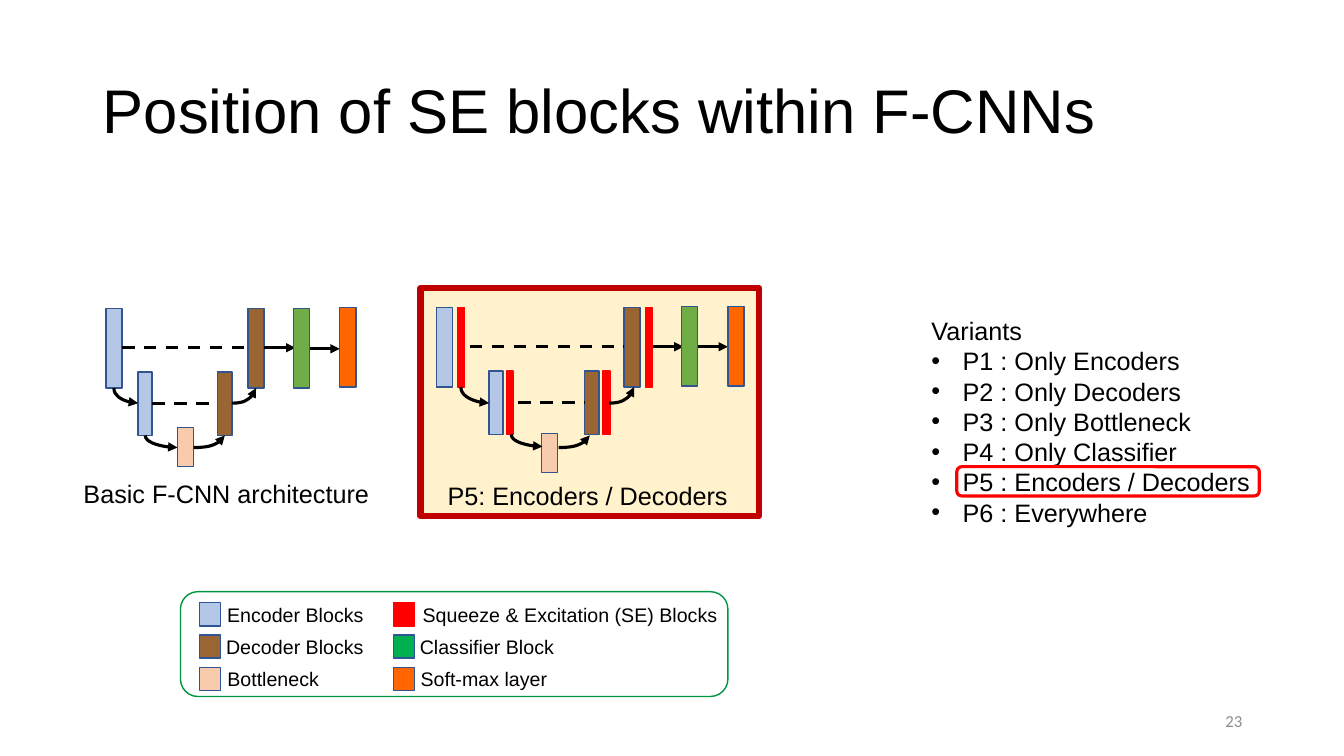
"""Build the slide on where SE blocks sit within F-CNNs."""
from lxml import etree
from pptx import Presentation, util as u
from pptx.dml.color import RGBColor
from pptx.enum import dml, shapes, text
from pptx.oxml import ns

BLACK = RGBColor(0x00, 0x00, 0x00)
GRAY = RGBColor(0x8C, 0x8C, 0x8C)
ENCODER = RGBColor(0xB4, 0xC7, 0xE7)
DECODER = RGBColor(0x99, 0x66, 0x33)
BOTTLENECK = RGBColor(0xF8, 0xCB, 0xAD)
CLASSIFIER = RGBColor(0x70, 0xAD, 0x47)
CLASSIFIER_KEY = RGBColor(0x00, 0xB0, 0x50)
SOFTMAX = RGBColor(0xFF, 0x66, 0x00)
RED = RGBColor(0xFF, 0x00, 0x00)
BLOCK_EDGE = RGBColor(0x32, 0x54, 0x91)
KEY_EDGE = RGBColor(0x2F, 0x55, 0x97)
CREAM = RGBColor(0xFF, 0xF2, 0xCC)
DARK_RED = RGBColor(0xC0, 0x00, 0x00)
GREEN = RGBColor(0x01, 0x94, 0x40)

RECT = shapes.MSO_SHAPE.RECTANGLE
ROUNDED = shapes.MSO_SHAPE.ROUNDED_RECTANGLE
LEFT, CENTER, RIGHT = text.PP_ALIGN.LEFT, text.PP_ALIGN.CENTER, text.PP_ALIGN.RIGHT


def inches(*values):
    return [u.Inches(value) for value in values]


def apply(target, values):
    for name, value in values.items():
        setattr(target, name, value)


class SlideBuilder:
    def __init__(self, slide, font="Arial"):
        self.slide, self.font = slide, font
        self.canvas = slide.shapes

    def start_group(self):
        self.canvas = self.slide.shapes.add_group_shape().shapes

    def end_group(self):
        self.canvas = self.slide.shapes

    def add_words(self, paragraph, words, size, color=BLACK, font=None, **layout):
        run = paragraph.add_run()
        run.text = words
        apply(run.font, {"name": font or self.font, "size": u.Pt(size), "bold": False})
        run.font.color.rgb = color
        apply(paragraph, layout)

    def title(self, words, box):
        heading = self.slide.shapes.title
        apply(heading, dict(zip(("left", "top", "width", "height"), inches(*box))))
        apply(heading.text_frame, {"vertical_anchor": text.MSO_ANCHOR.MIDDLE, "word_wrap": True})
        self.add_words(heading.text_frame.paragraphs[0], words, 44, alignment=LEFT, line_spacing=0.9)

    def label(self, words, box, size, wrap=False, anchor=text.MSO_ANCHOR.TOP, **style):
        frame = self.canvas.add_textbox(*inches(*box)).text_frame
        apply(frame, {"word_wrap": wrap, "vertical_anchor": anchor})
        self.add_words(frame.paragraphs[0], words, size, **style)
        return frame

    def bullet(self, frame, words, size):
        paragraph = frame.add_paragraph()
        self.add_words(paragraph, words, size)
        props = paragraph._p.get_or_add_pPr()
        for name, value in {"marL": u.Inches(0.31), "indent": -u.Inches(0.31)}.items():
            props.set(name, str(value))
        etree.SubElement(props, ns.qn("a:buFont")).set("typeface", self.font)
        etree.SubElement(props, ns.qn("a:buChar")).set("char", "•")

    def block(self, box, fill, edge, width=1, kind=RECT):
        block = self.canvas.add_shape(kind, *inches(*box))
        block.shadow.inherit = False
        if fill is None:
            block.fill.background()
        else:
            block.fill.solid()
            block.fill.fore_color.rgb = fill
        block.line.color.rgb = edge
        block.line.width = u.Pt(width)

    def link(self, start, end, kind=shapes.MSO_CONNECTOR.STRAIGHT, dashed=False):
        link = self.canvas.add_connector(kind, *inches(*start, *end))
        link.line.color.rgb = BLACK
        link.line.width = u.Pt(2.25)
        if dashed:
            link.line.dash_style = dml.MSO_LINE.DASH
        else:
            etree.SubElement(link.line._get_or_add_ln(), ns.qn("a:tailEnd")).set("type", "triangle")
        etree.SubElement(link._element.spPr, ns.qn("a:effectLst"))
        return link

    def curve(self, start, end):
        (x1, y1), (x2, y2) = start, end
        downward = y2 > y1
        if downward:
            mid_x, mid_y = (x1 + x2) / 2, (y1 + y2) / 2
            half_w, half_h = (y2 - y1) / 2, (x2 - x1) / 2
            start = mid_x + half_w, mid_y - half_h
            end = mid_x - half_w, mid_y + half_h
        props = self.link(start, end, shapes.MSO_CONNECTOR.CURVE)._element.spPr
        props.find(ns.qn("a:prstGeom")).set("prst", "curvedConnector2")
        if downward:
            props.find(ns.qn("a:xfrm")).set("rot", "16200000")

    def network(self, caption, caption_box, blocks, se_blocks, curves, skips, arrows, outputs):
        self.start_group()
        for fill, *box in blocks:
            self.block(box, fill, BLOCK_EDGE)
        for box in se_blocks:
            self.block(box, RED, RED)
        for start, end in curves:
            self.curve(start, end)
        for left, right, y in skips:
            self.link((left, y), (right, y), dashed=True)
        for left, right, y in arrows:
            self.link((left, y), (right, y))
        for fill, left, top in outputs:
            self.block((left, top, 0.16, 0.79), fill, BLOCK_EDGE)
        self.label(caption, caption_box, 18)
        self.end_group()

    def legend(self, columns):
        self.start_group()
        for key_left, entries in columns:
            for row, (words, fill, edge, left, width) in enumerate(entries):
                top = 5.93 + 0.32 * row
                self.block((key_left, top + 0.05, 0.21, 0.23), fill, edge)
                self.label(words, (left, top, width, 0.34), 14, alignment=CENTER)
        self.end_group()
        self.block((1.79, 5.87, 5.43, 1.04), None, GREEN, kind=ROUNDED)


def main():
    deck = Presentation()
    deck.slide_width, deck.slide_height = inches(13.33, 7.5)
    page = SlideBuilder(deck.slides.add_slide(deck.slide_layouts[5]))
    page.title("Position of SE blocks within F-CNNs", (0.92, 0.4, 11.5, 1.45))
    page.label("23", (9.42, 6.95, 3, 0.4), 12, wrap=True, anchor=text.MSO_ANCHOR.MIDDLE,
               color=GRAY, font="Calibri", alignment=RIGHT)
    page.block((4.17, 2.86, 3.36, 2.26), CREAM, DARK_RED, 4.5)

    page.network(
        "Basic F-CNN architecture", (0.73, 4.7, 3.06, 0.4),
        blocks=[(ENCODER, 1.05, 3.06, 0.16, 0.79), (ENCODER, 1.37, 3.69, 0.14, 0.63),
                (DECODER, 2.16, 3.69, 0.14, 0.63), (BOTTLENECK, 1.76, 4.24, 0.16, 0.39),
                (DECODER, 2.46, 3.06, 0.16, 0.79)],
        se_blocks=[],
        curves=[((1.13, 3.85), (1.37, 4)), ((1.44, 4.32), (1.76, 4.44)),
                ((1.92, 4.44), (2.23, 4.32)), ((2.3, 4), (2.54, 3.85))],
        skips=[(1.21, 2.46, 3.45), (1.51, 2.16, 4)],
        arrows=[(2.62, 2.93, 3.45), (3.07, 3.37, 3.46)],
        outputs=[(CLASSIFIER, 2.91, 3.06), (SOFTMAX, 3.37, 3.05)])
    page.network(
        "P5: Encoders / Decoders", (4.34, 4.72, 3.01, 0.4),
        blocks=[(ENCODER, 4.33, 3.05, 0.16, 0.79), (ENCODER, 4.85, 3.68, 0.14, 0.63),
                (DECODER, 5.8, 3.68, 0.14, 0.63), (BOTTLENECK, 5.37, 4.3, 0.16, 0.39),
                (DECODER, 6.19, 3.05, 0.16, 0.79)],
        se_blocks=[(4.54, 3.05, 0.07, 0.79), (5.03, 3.68, 0.06, 0.63),
                   (5.98, 3.68, 0.07, 0.63), (6.4, 3.05, 0.07, 0.79)],
        curves=[((4.57, 3.84), (4.85, 4)), ((5.07, 4.31), (5.38, 4.43)),
                ((5.54, 4.44), (5.85, 4.32)), ((6.04, 4), (6.29, 3.84))],
        skips=[(4.66, 6.19, 3.44), (5.14, 5.8, 3.99)],
        arrows=[(6.48, 6.78, 3.44), (6.92, 7.22, 3.44)],
        outputs=[(CLASSIFIER, 6.76, 3.04), (SOFTMAX, 7.22, 3.04)])

    page.legend([
        (1.98, [("Encoder Blocks", ENCODER, KEY_EDGE, 2.15, 1.56),
                ("Decoder Blocks", DECODER, KEY_EDGE, 2.14, 1.57),
                ("Bottleneck", BOTTLENECK, KEY_EDGE, 2.15, 1.12)]),
        (3.9, [("Squeeze & Excitation (SE) Blocks", RED, RED, 4.08, 3.15),
               ("Classifier Block", CLASSIFIER_KEY, KEY_EDGE, 4.06, 1.54),
               ("Soft-max layer", SOFTMAX, KEY_EDGE, 4.04, 1.52)])])

    variants = page.label("Variants", (9.14, 3.08, 3.64, 2.22), 18, wrap=True)
    names = ("Only Encoders", "Only Decoders", "Only Bottleneck", "Only Classifier",
             "Encoders / Decoders", "Everywhere")
    for number, name in enumerate(names, 1):
        page.bullet(variants, f"P{number} : {name}", 18)
    page.block((9.49, 4.63, 3, 0.29), None, RED, 2.25, ROUNDED)
    deck.save("out.pptx")


if __name__ == "__main__":
    main()
